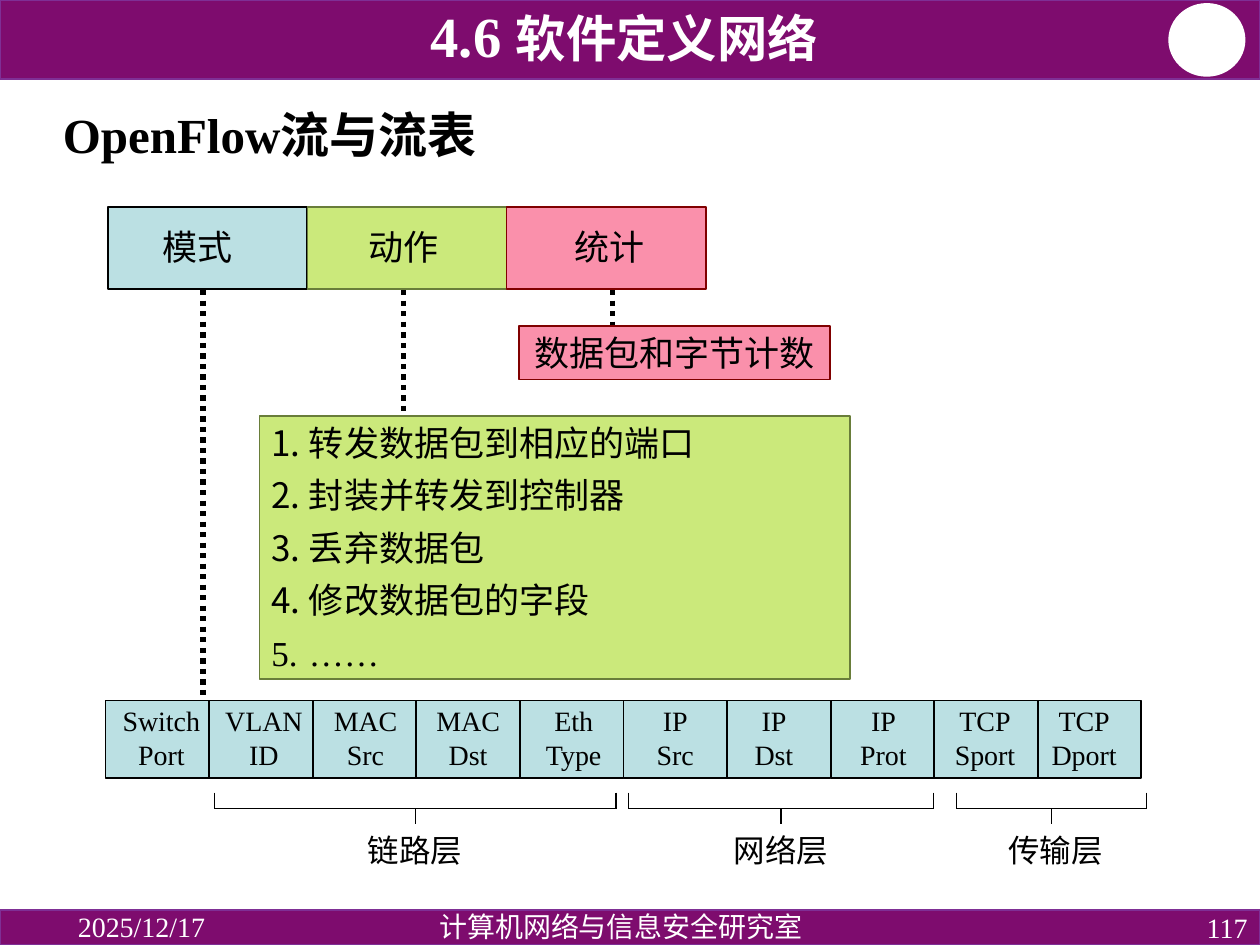
from lxml import etree
from pptx import Presentation
from pptx.dml.color import RGBColor
from pptx.enum.dml import MSO_LINE
from pptx.enum.shapes import MSO_CONNECTOR, MSO_SHAPE
from pptx.enum.text import MSO_ANCHOR, PP_ALIGN
from pptx.oxml.ns import qn
from pptx.util import Cm, Pt

STRAIGHT = MSO_CONNECTOR.STRAIGHT
DOTTED = MSO_LINE.ROUND_DOT
RECTANGLE, OVAL = MSO_SHAPE.RECTANGLE, MSO_SHAPE.OVAL
TOP, MIDDLE, BOTTOM = MSO_ANCHOR.TOP, MSO_ANCHOR.MIDDLE, MSO_ANCHOR.BOTTOM
LEFT, CENTER, RIGHT = PP_ALIGN.LEFT, PP_ALIGN.CENTER, PP_ALIGN.RIGHT

FONT = "Times New Roman"
BLACK = RGBColor(0x00, 0x00, 0x00)
WHITE = RGBColor(0xFF, 0xFF, 0xFF)
PURPLE = RGBColor(0x7E, 0x0C, 0x6E)
VIOLET = RGBColor(0x7F, 0x2F, 0x95)
AQUA = RGBColor(0xBB, 0xE0, 0xE3)
LIME = RGBColor(0xCB, 0xE9, 0x7B)
OLIVE = RGBColor(0x69, 0x7D, 0x3A)
PINK = RGBColor(0xFA, 0x90, 0xAB)
MAROON = RGBColor(0x80, 0x00, 0x00)

ENTRY_PARTS = [
    ("模式", AQUA, BLACK, -0.2),
    ("动作", LIME, OLIVE, -0.08),
    ("统计", PINK, MAROON, 0.06),
]
ACTIONS = ["转发数据包到相应的端口", "封装并转发到控制器", "丢弃数据包", "修改数据包的字段", "……"]
MATCH_FIELDS = [
    ("Switch", "Port", 0.08),
    ("VLAN", "ID", 0.06),
    ("MAC", "Src", 0.02),
    ("MAC", "Dst", 0),
    ("Eth", "Type", 0.04),
    ("IP", "Src", 0),
    ("IP", "Dst", -0.1),
    ("IP", "Prot", 0.02),
    ("TCP", "Sport", -0.02),
    ("TCP", "Dport", -0.11),
]
LAYERS = [
    ("链路层", 4.32, 8.1, 0),
    ("网络层", 12.67, 6.15, 0),
    ("传输层", 19.28, 3.83, 0.08),
]


def write_text(shape, lines, size, color=BLACK, bold=False, align=CENTER, anchor=MIDDLE,
               margins=(0, 0, 0, 0), spacing=None, gap=0, numbered=False, lead=None):
    frame = shape.text_frame
    frame.word_wrap = True
    frame.vertical_anchor = anchor
    (frame.margin_left, frame.margin_top,
     frame.margin_right, frame.margin_bottom) = map(Cm, margins)
    for index, line in enumerate(lines):
        paragraph = frame.paragraphs[0] if index == 0 else frame.add_paragraph()
        paragraph.alignment = align
        if spacing:
            paragraph.line_spacing = spacing
        if index and gap:
            paragraph.space_before = Pt(gap)
        if numbered:
            properties = paragraph._p.get_or_add_pPr()
            properties.set("marL", str(Cm(1)))
            properties.set("indent", str(Cm(-0.76)))
            etree.SubElement(properties, qn("a:buAutoNum"), type="arabicPeriod")
        runs = [(line, size)]
        if index == 0 and lead:
            runs.insert(0, lead)
        for text, points in runs:
            run = paragraph.add_run()
            run.text = text
            run.font.name = FONT
            run.font.size = Pt(points)
            run.font.bold = bold
            run.font.color.rgb = color


def add_block(slide, left, top, width, height, fill, outline, kind=RECTANGLE):
    block = slide.shapes.add_shape(kind, Cm(left), Cm(top), Cm(width), Cm(height))
    block.shadow.inherit = False
    block.fill.solid()
    block.fill.fore_color.rgb = fill
    block.line.color.rgb = outline
    block.line.width = Pt(1)
    return block


def add_label(slide, left, top, width, height, lines, size, **text_format):
    label = slide.shapes.add_textbox(Cm(left), Cm(top), Cm(width), Cm(height))
    text_format.setdefault("margins", (0.25, 0.13, 0.25, 0.13))
    write_text(label, lines, size, **text_format)


def add_line(slide, x1, y1, x2, y2, weight=0.75, dash=None):
    line = slide.shapes.add_connector(STRAIGHT, Cm(x1), Cm(y1), Cm(x2), Cm(y2))
    line.line.color.rgb = BLACK
    line.line.width = Pt(weight)
    if dash:
        line.line.dash_style = dash
    etree.SubElement(line._element.spPr, qn("a:effectLst"))


def nudged(offset, bottom=0):
    return max(2 * offset, 0), 0, max(-2 * offset, 0), bottom


def add_header(slide, left, top, width, height):
    add_block(slide, left, top, width, height, PURPLE, VIOLET)
    add_block(slide, left + width - 1.83, top + 0.08, 1.52, 1.45, WHITE, WHITE, OVAL)
    add_label(slide, left + 2.77, top + 0.1, 19.63, 1.42, ["软件定义网络"], 28.8,
              color=WHITE, bold=True, anchor=BOTTOM, spacing=0.8, lead=("4.6 ", 32.4))


def add_footer(slide, left, top, width, height):
    add_block(slide, left, top, width, height, PURPLE, VIOLET)
    add_label(slide, left + 1.32, top, 5.72, 0.66, ["2025/12/17"], 16,
              color=WHITE, align=LEFT)
    add_label(slide, left + width - 5.72, top, 5.72, height, ["117"], 16,
              color=WHITE, align=RIGHT)
    add_label(slide, left + 6.83, top - 0.05, 11.38, height, ["计算机网络与信息安全研究室"], 16,
              color=WHITE, anchor=TOP, spacing=0.9)


def add_flow_entry(slide, left, top, width, height):
    part_width = width / len(ENTRY_PARTS)
    for index, (name, fill, outline, offset) in enumerate(ENTRY_PARTS):
        part = add_block(slide, left + index * part_width, top, part_width, height, fill, outline)
        write_text(part, [name], 20, margins=nudged(offset, 0.08))


def add_leaders(slide, top):
    for x, bottom in ((4.09, 14.12), (8.13, 8.38), (12.34, 6.71)):
        add_line(slide, x, top, x, bottom, 3, DOTTED)


def add_counter(slide, left, top, width, height):
    counter = add_block(slide, left, top, width, height, PINK, MAROON)
    write_text(counter, ["数据包和字节计数"], 20)


def add_actions(slide, left, top, width, height):
    actions = add_block(slide, left, top, width, height, LIME, OLIVE)
    write_text(actions, ACTIONS, 20, align=LEFT, gap=6, numbered=True)


def add_match_fields(slide, left, top, width, height):
    step = width / len(MATCH_FIELDS)
    for index, (upper, lower, offset) in enumerate(MATCH_FIELDS):
        field = add_block(slide, left + index * step, top, step, height, AQUA, BLACK)
        write_text(field, [upper, lower], 16, margins=nudged(offset, 0.08))


def add_layer(slide, left, top, width, height, name, offset):
    right, middle, base = left + width, left + width / 2, top + height / 2
    add_line(slide, left, top, left, base)
    add_line(slide, left, base, right, base)
    add_line(slide, right, top, right, base)
    add_line(slide, middle, base, middle, top + height)
    add_label(slide, middle + offset - 1.5, top + height, 3, 1.02, [name], 18, anchor=TOP)


def main():
    deck = Presentation()
    deck.slide_width, deck.slide_height = Cm(25.4), Cm(19.05)
    slide = deck.slides.add_slide(deck.slide_layouts[6])
    add_header(slide, 0, 0, 25.4, 1.6)
    add_footer(slide, 0, 18.34, 25.4, 0.71)
    add_label(slide, 1.02, 1.7, 23.44, 2.16, ["OpenFlow流与流表"], 28,
              bold=True, align=LEFT, spacing=0.9)
    add_leaders(slide, 5.85)
    add_flow_entry(slide, 2.18, 4.18, 12.05, 1.65)
    add_counter(slide, 10.46, 6.58, 6.27, 1.07)
    add_actions(slide, 5.23, 8.38, 11.91, 5.31)
    add_match_fields(slide, 2.13, 14.12, 20.88, 1.57)
    for name, left, width, offset in LAYERS:
        add_layer(slide, left, 15.98, width, 0.64, name, offset)
    deck.save("out.pptx")


if __name__ == "__main__":
    main()
